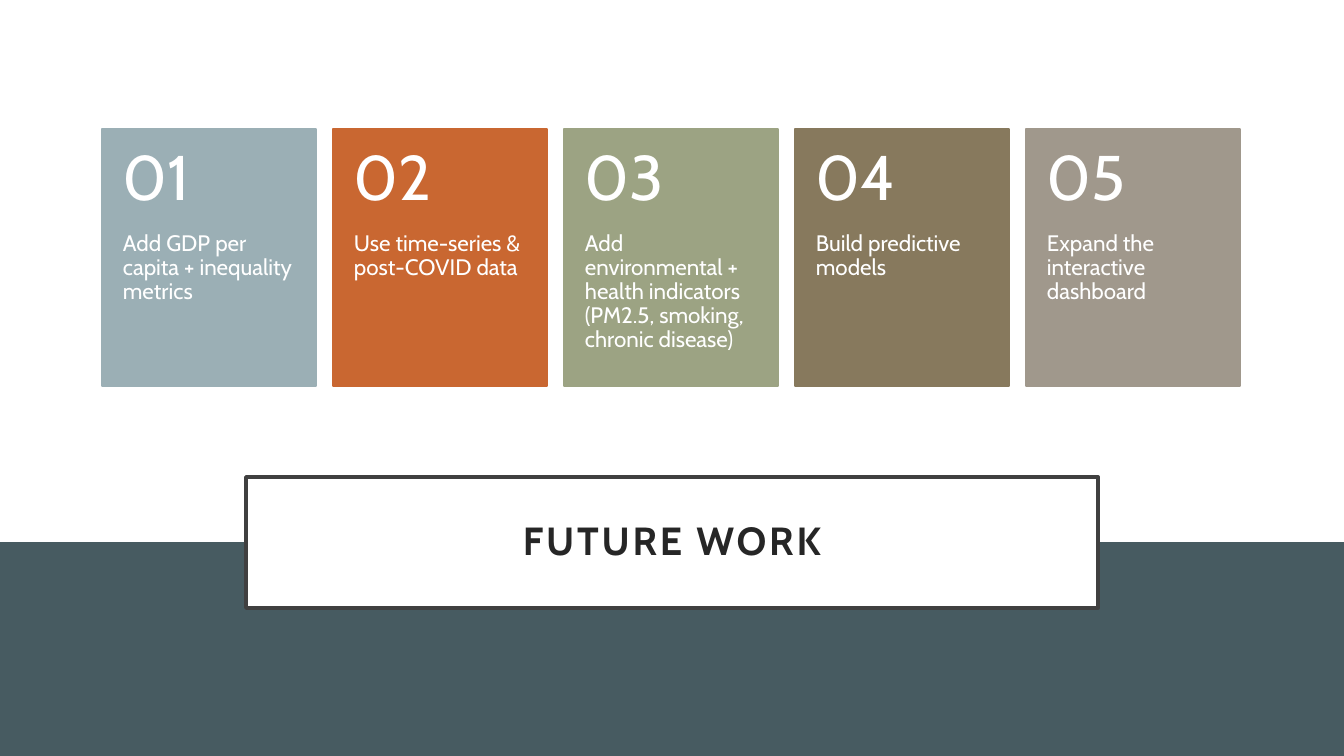
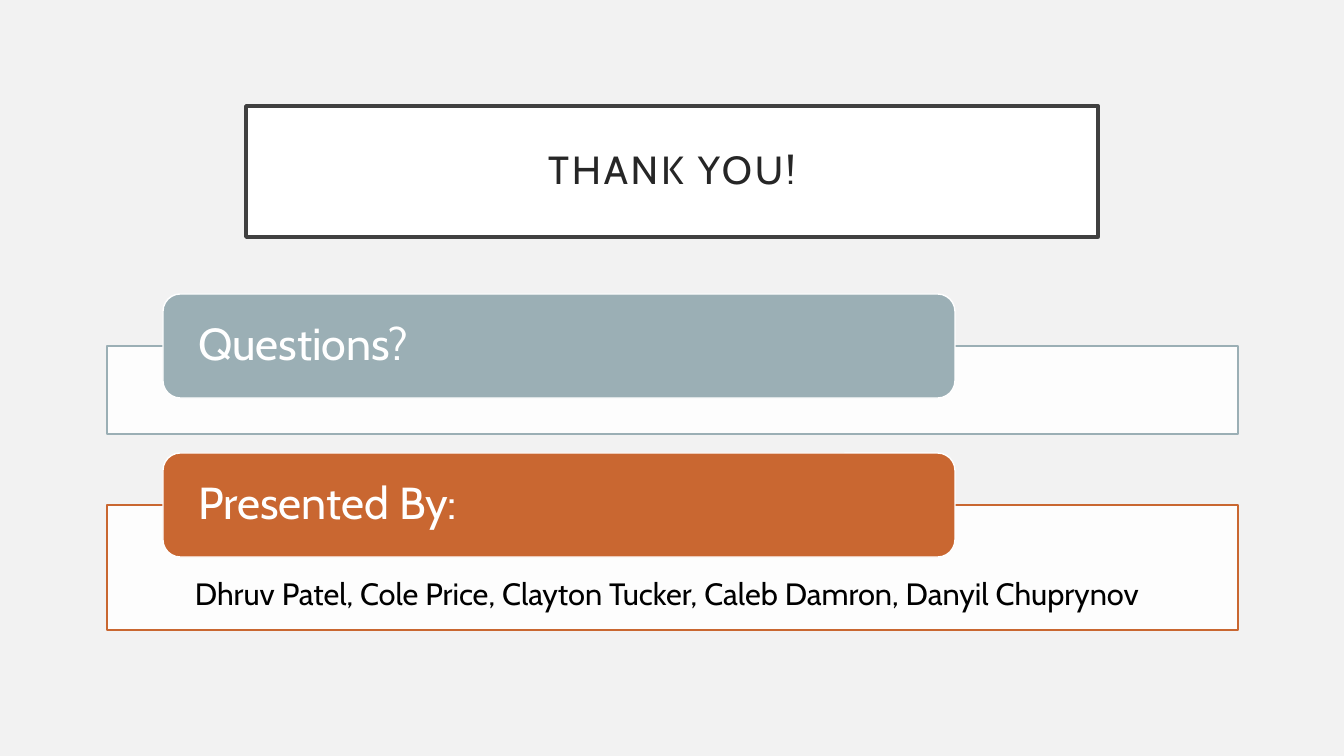
from dataclasses import dataclass

from lxml.etree import SubElement
from pptx import Presentation
from pptx.dml.color import RGBColor
from pptx.enum.shapes import MSO_SHAPE as SHAPE
from pptx.enum.text import MSO_ANCHOR as ANCHOR, MSO_AUTO_SIZE as AUTO, PP_ALIGN as ALIGN
from pptx.oxml.ns import qn
from pptx.util import Pt

PX = 914400 / 100.8
SLIDE_W, SLIDE_H = 1344, 756


@dataclass(frozen=True)
class Theme:
    font: str = "Cabin"
    white: str = "FFFFFF"
    black: str = "000000"
    pale: str = "F2F2F2"
    slate: str = "475B61"
    ink: str = "262626"
    frame: str = "404040"
    accents: tuple = ("9BAFB5", "C96731", "9CA383", "87795D", "A0988C")
    title_size: int = 28
    number_size: int = 45
    card_size: int = 16
    bar_size: int = 32
    names_size: int = 22


T = Theme()

FUTURE_TITLE = "FUTURE WORK"
FUTURE_STEPS = [
    "Add GDP per capita + inequality metrics",
    "Use time-series & post-COVID data",
    "Add environmental + health indicators (PM2.5, smoking, chronic disease)",
    "Build predictive models",
    "Expand the interactive dashboard",
]
CLOSING_TITLE = "THANK YOU!"
# heading, text, panel height
CLOSING_PANELS = [
    ("Questions?", "", 88),
    ("Presented By:", "Dhruv Patel, Cole Price, Clayton Tucker, Caleb Damron, Danyil Chuprynov", 125),
]


def emu(*lengths):
    return [round(n * PX) for n in lengths]


def rgb(color):
    return RGBColor.from_string(color)


def paint(sp, fill, line=None, width=1):
    sp.fill.solid()
    sp.fill.fore_color.rgb = rgb(fill)
    if line:
        sp.line.color.rgb = rgb(line)
        sp.line.width = Pt(width)
    else:
        sp.line.fill.background()


def write(sp, text, size, color, insets, anchor=ANCHOR.TOP, align=ALIGN.LEFT, bold=False):
    """Fill a shape with one paragraph; insets are left, top, right, bottom."""
    tf = sp.text_frame
    tf.word_wrap = True
    tf.auto_size = AUTO.NONE
    tf.vertical_anchor = anchor
    tf.margin_left, tf.margin_top, tf.margin_right, tf.margin_bottom = emu(*insets)
    p = tf.paragraphs[0]
    p.text = text
    p.alignment = align
    p.line_spacing = 0.9
    p.font.name, p.font.size, p.font.bold = T.font, Pt(size), bold
    p.font.color.rgb = rgb(color)


def add_box(slide, x, y, w, h, fill, line=None, kind=SHAPE.RECTANGLE):
    sp = slide.shapes.add_shape(kind, *emu(x, y, w, h))
    sp.shadow.inherit = False
    paint(sp, fill, line)
    return sp


def add_text(slide, x, y, w, h, *args, **kwargs):
    write(slide.shapes.add_textbox(*emu(x, y, w, h)), *args, **kwargs)


def set_opacity(sp, percent):
    color = next(sp.element.spPr.iter(qn("a:srgbClr")))
    SubElement(color, qn("a:alpha")).set("val", str(percent * 1000))


def add_slide(prs, background):
    slide = prs.slides.add_slide(prs.slide_layouts[5])
    slide.background.fill.solid()
    slide.background.fill.fore_color.rgb = rgb(background)
    return slide


def set_title(slide, text, y, bold=False):
    """Place the framed title in front of the shapes added so far."""
    title = slide.shapes.title
    title.left, title.top, title.width, title.height = emu(246, y, 852, 131)
    paint(title, T.white, T.frame, 2.5)
    write(title, text, T.title_size, T.ink, [20] * 4, ANCHOR.MIDDLE, ALIGN.CENTER, bold)
    for props in title.element.iter(qn("a:defRPr")):
        props.set("spc", "200")
    title.element.getparent().append(title.element)


def build_future(prs):
    slide = add_slide(prs, T.white)
    split = 542
    add_box(slide, 0, split, SLIDE_W, SLIDE_H - split, T.slate)
    add_box(slide, 0, 0, SLIDE_W, split, T.white)
    set_title(slide, FUTURE_TITLE, 477, bold=True)

    left, top, card_w, gap, number_h, text_h = 102, 129, 214, 17, 103, 154
    for i, (step, color) in enumerate(zip(FUTURE_STEPS, T.accents)):
        x = left + i * (card_w + gap)
        add_box(slide, x, top, card_w, number_h + text_h, color, color)
        add_text(slide, x, top + number_h, card_w, text_h,
                 step, T.card_size, T.white, (21, 0, 21, 36))
        add_text(slide, x, top, card_w, number_h,
                 f"{i + 1:02}", T.number_size, T.white, (21, 18, 21, 18), ANCHOR.MIDDLE)


def build_closing(prs):
    slide = add_slide(prs, T.pale)
    set_title(slide, CLOSING_TITLE, 106)

    y, gap, bar_h = 346, 71, 104
    for (heading, text, h), color in zip(CLOSING_PANELS, T.accents):
        panel = add_box(slide, 107, y, 1131, h, T.white, color)
        set_opacity(panel, 90)
        if text:
            write(panel, text, T.names_size, T.black, (88, 74, 88, 17))
        bar = add_box(slide, 163, y - bar_h // 2, 792, bar_h, color, T.white,
                      SHAPE.ROUNDED_RECTANGLE)
        write(bar, heading, T.bar_size, T.white, (30, 0, 30, 0), ANCHOR.MIDDLE)
        y += h + gap


def main():
    prs = Presentation()
    prs.slide_width, prs.slide_height = emu(SLIDE_W, SLIDE_H)
    build_future(prs)
    build_closing(prs)
    prs.save("out.pptx")


if __name__ == "__main__":
    main()
